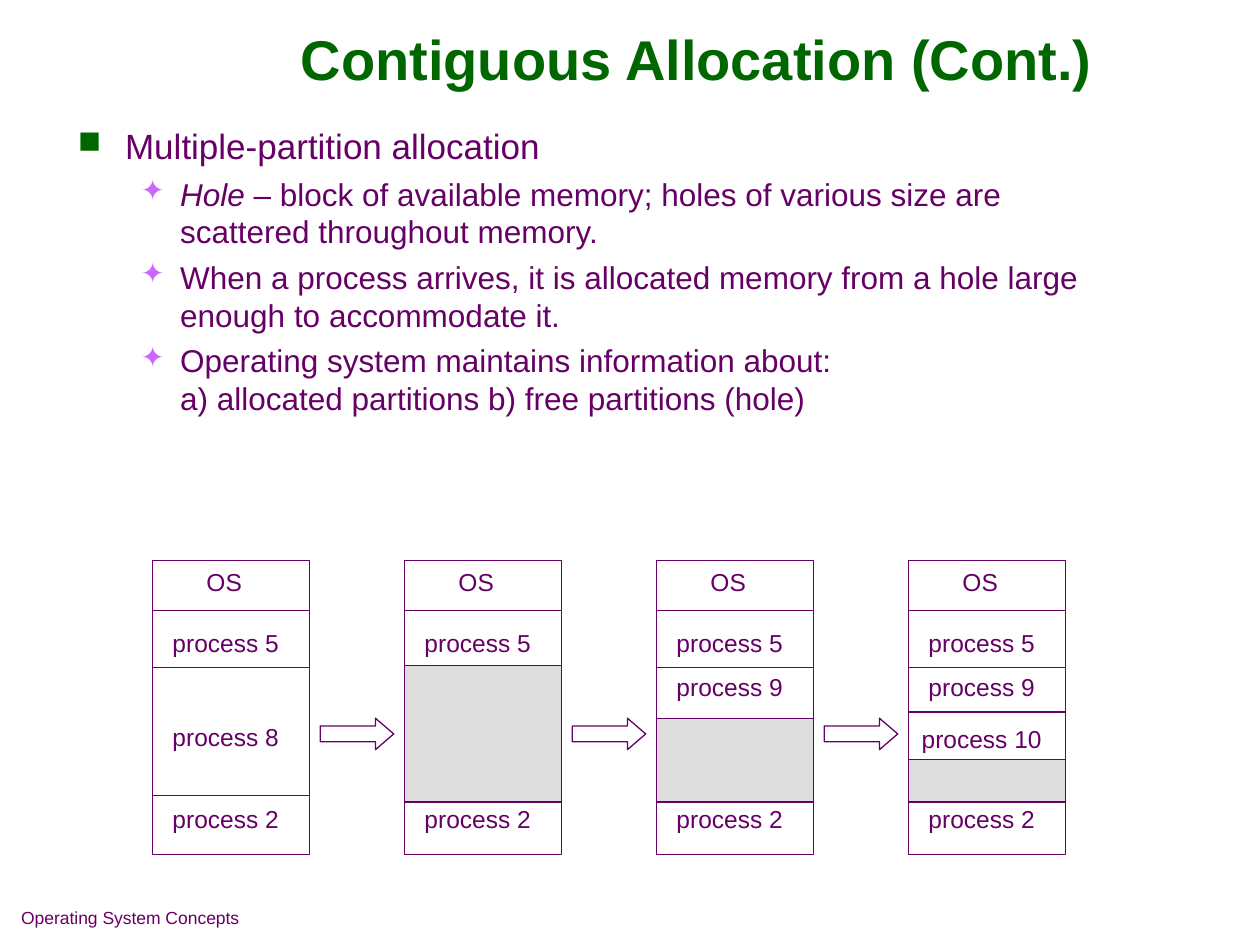
import dataclasses

import pptx
import pptx.dml.color
import pptx.enum.shapes
import pptx.enum.text
import pptx.oxml.ns
import pptx.util
from lxml import etree

Pt = pptx.util.Pt
SHAPE = pptx.enum.shapes.MSO_SHAPE
ANCHOR = pptx.enum.text.MSO_ANCHOR
ALIGN = pptx.enum.text.PP_ALIGN


@dataclasses.dataclass(frozen=True)
class Theme:
    font: str = "Arial"
    text: str = "660066"
    title: str = "006600"
    sub_bullet: str = "CC66FF"
    block: str = "FFFFFF"
    hole: str = "DDDDDD"
    title_size: float = 32
    body_size: float = 20
    sub_size: float = 18
    label_size: float = 14
    footer_size: float = 10
    line_width: float = 0.75


THEME = Theme()

# Memory columns
COL_LEFT, COL_PITCH, COL_WIDTH = 87, 144, 90
COL_TOP, COL_HEIGHT = 320.4, 168
LABEL_WIDTH, LABEL_HEIGHT = 84, 24.2
HOLE_BOTTOM = 458.3
SHARED_LINES = (349, 381.4, 454.4)
SHARED_LABELS = {"process 5": 355, "process 2": 455.8}

# Per column: extra labels with their tops, extra lines, top of the hole
STAGES = [
    ({"process 8": 409}, (), None),
    ({}, (), 380.2),
    ({"process 9": 380.2}, (), 410.4),
    ({"process 9": 380.2, "process 10": 410.2}, (406.8,), 434.2),
]

# Sub-points as (text, italic) runs
SUB_POINTS = [
    [("Hole", True),
     (" – block of available memory; holes of various size are "
      "scattered throughout memory.", False)],
    [("When a process arrives, it is allocated memory from a hole large "
      "enough to accommodate it.", False)],
    [("Operating system maintains information about:\v"
      "a) allocated partitions b) free partitions (hole)", False)],
]


def rgb(color):
    return pptx.dml.color.RGBColor.from_string(color)


def format_runs(p, size, color=THEME.text, bold=False):
    for r in p.runs:
        r.font.name = THEME.font
        r.font.size = Pt(size)
        r.font.bold = bold
        r.font.color.rgb = rgb(color)


def add_box(s, left, top, width, height, anchor=ANCHOR.TOP):
    tf = s.shapes.add_textbox(Pt(left), Pt(top), Pt(width), Pt(height)).text_frame
    tf.word_wrap = True
    tf.vertical_anchor = anchor
    return tf


def add_label(s, text, left, top, width=LABEL_WIDTH):
    tf = add_box(s, left, top, width, LABEL_HEIGHT, ANCHOR.MIDDLE)
    tf.text = text
    tf.paragraphs[0].alignment = ALIGN.CENTER
    format_runs(tf.paragraphs[0], THEME.label_size)


def add_block(s, kind, left, top, width, height, fill=THEME.block):
    sp = s.shapes.add_shape(kind, Pt(left), Pt(top), Pt(width), Pt(height))
    sp.shadow.inherit = False
    sp.fill.solid()
    sp.fill.fore_color.rgb = rgb(fill)
    sp.line.color.rgb = rgb(THEME.text)
    sp.line.width = Pt(THEME.line_width)
    return sp


def add_divider(s, left, top):
    line = s.shapes.add_connector(
        pptx.enum.shapes.MSO_CONNECTOR.STRAIGHT,
        Pt(left), Pt(top), Pt(left + COL_WIDTH), Pt(top))
    line.line.color.rgb = rgb(THEME.text)
    line.line.width = Pt(THEME.line_width)
    etree.SubElement(line._element.spPr, pptx.oxml.ns.qn("a:effectLst"))


def set_bullet(p, char, color, margin, hanging):
    qn = pptx.oxml.ns.qn
    pPr = p._p.get_or_add_pPr()
    pPr.set("marL", str(Pt(margin)))
    pPr.set("indent", str(-Pt(hanging)))
    clr = etree.SubElement(pPr, qn("a:buClr"))
    etree.SubElement(clr, qn("a:srgbClr"), val=color)
    etree.SubElement(pPr, qn("a:buSzPct"), val="90000")
    etree.SubElement(pPr, qn("a:buChar"), char=char)


def add_title(s):
    tf = add_box(s, 92.2, 0, 612, 66.2, ANCHOR.MIDDLE)
    tf.text = "Contiguous Allocation (Cont.)"
    tf.paragraphs[0].alignment = ALIGN.CENTER
    format_runs(tf.paragraphs[0], THEME.title_size, THEME.title, bold=True)


def add_body(s):
    tf = add_box(s, 37.4, 67.7, 617, 220.3)
    p = tf.paragraphs[0]
    p.text = "Multiple-partition allocation"
    set_bullet(p, "■", THEME.title, 27, 27)
    format_runs(p, THEME.body_size)
    for runs in SUB_POINTS:
        p = tf.add_paragraph()
        p.level = 1
        p.text = "".join(text for text, _ in runs) if len(runs) == 1 else ""
        if len(runs) > 1:
            for text, italic in runs:
                r = p.add_run()
                r.text = text
                r.font.italic = italic
        set_bullet(p, "✦", THEME.sub_bullet, 58.5, 22.5)
        p.space_before = Pt(4.5)
        format_runs(p, THEME.sub_size)


def add_column(s, left, labels, lines, hole_top):
    add_block(s, SHAPE.RECTANGLE, left, COL_TOP, COL_WIDTH, COL_HEIGHT)
    for y in SHARED_LINES + lines:
        add_divider(s, left, y)
    if hole_top is not None:
        add_block(s, SHAPE.RECTANGLE, left, hole_top, COL_WIDTH,
                  HOLE_BOTTOM - hole_top, THEME.hole)
    add_label(s, "OS", left + 23.8, COL_TOP, 34.6)
    for text, top in {**SHARED_LABELS, **labels}.items():
        add_label(s, text, left, top)


def add_arrow(s, left):
    sp = add_block(s, SHAPE.RIGHT_ARROW, left, 410.4, 42, 18)
    sp.adjustments[0] = 0.5
    sp.adjustments[1] = 0.58


def add_footer(s):
    tf = add_box(s, 5, 514.8, 228.2, 25.2)
    tf.text = "Operating System Concepts"
    format_runs(tf.paragraphs[0], THEME.footer_size)


def main():
    prs = pptx.Presentation()
    prs.slide_width, prs.slide_height = Pt(720), Pt(540)
    s = prs.slides.add_slide(prs.slide_layouts[6])

    # Text
    add_footer(s)
    add_title(s)
    add_body(s)

    # Memory stages, with an arrow between neighbours
    for i, stage in enumerate(STAGES):
        left = COL_LEFT + i * COL_PITCH
        add_column(s, left, *stage)
        if i < len(STAGES) - 1:
            add_arrow(s, left + COL_WIDTH + 6)

    prs.save("out.pptx")


if __name__ == "__main__":
    main()
